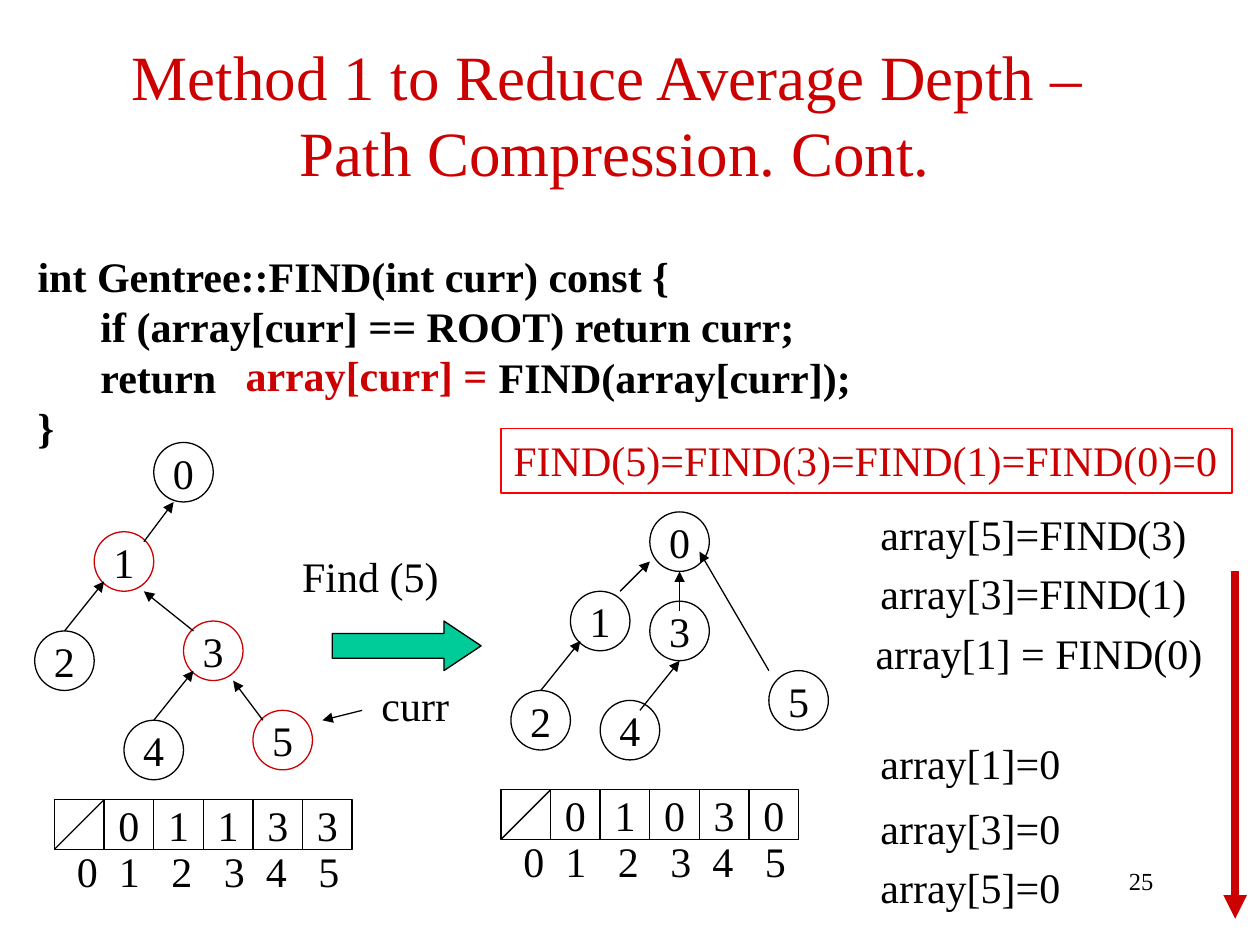
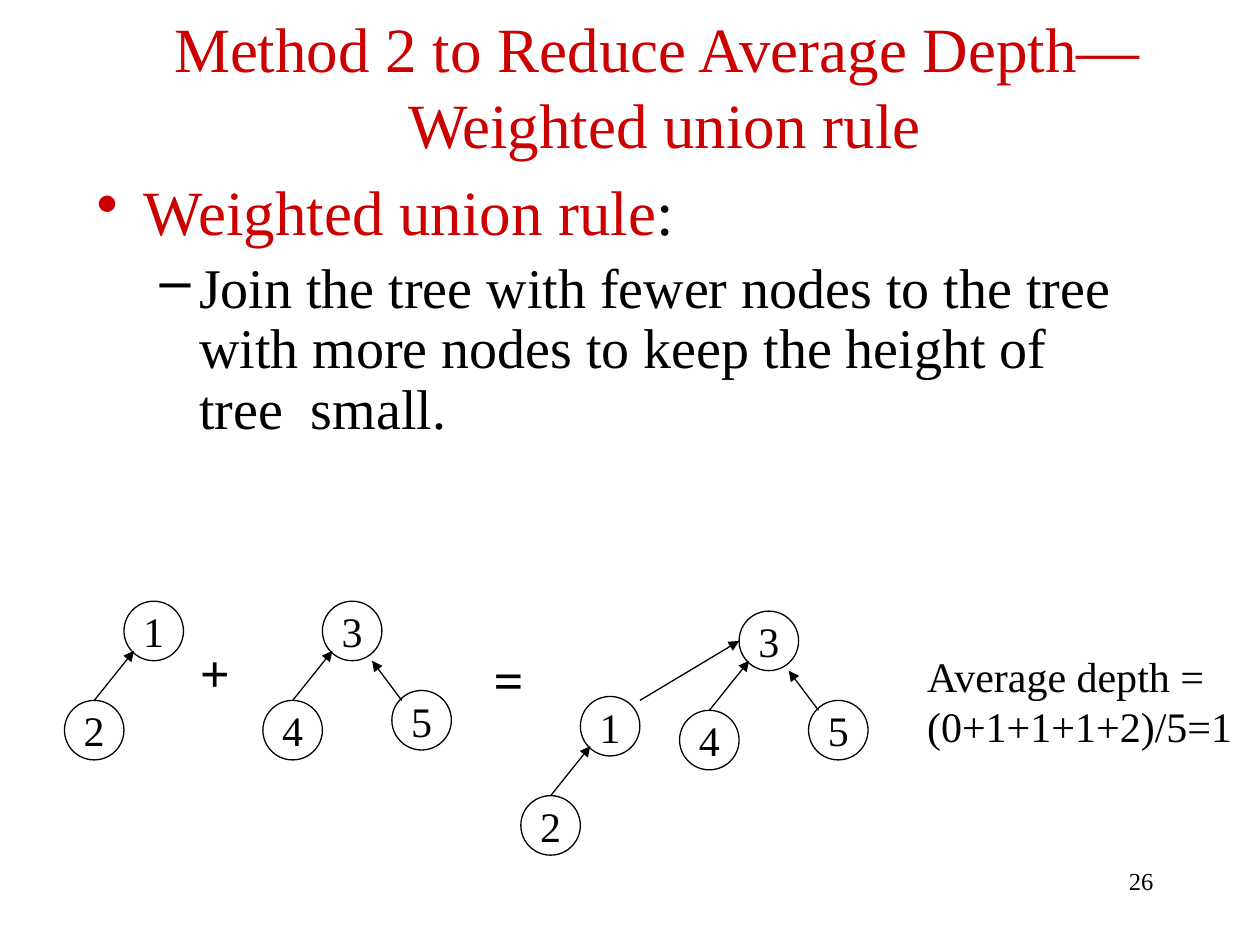
from lxml import etree
from pptx import Presentation
from pptx.dml.color import RGBColor
from pptx.enum.shapes import MSO_CONNECTOR, MSO_SHAPE
from pptx.enum.text import MSO_ANCHOR, PP_ALIGN
from pptx.oxml.ns import qn
from pptx.util import Emu, Pt

OVAL, RECT, BLOCK_ARROW = MSO_SHAPE.OVAL, MSO_SHAPE.RECTANGLE, MSO_SHAPE.RIGHT_ARROW
STRAIGHT = MSO_CONNECTOR.STRAIGHT
LEFT, CENTER, RIGHT = PP_ALIGN.LEFT, PP_ALIGN.CENTER, PP_ALIGN.RIGHT
TOP, MIDDLE = MSO_ANCHOR.TOP, MSO_ANCHOR.MIDDLE

FONT = "Times New Roman"
COLORS = {"ink": "000000", "accent": "CC0000", "frame": "FF0000", "arrow": "00CC99"}

# The slide is 127 columns wide; rows are as high as columns are wide.
prs = Presentation()
prs.slide_width, prs.slide_height = Emu(9144000), Emu(6858000)
UNIT = prs.slide_width // 127
GRID_LEFT, GRID_TOP = 0.5, 0.6
NODE, CELL, LINE_ROWS = 6, 5, 6.35

# Where an edge leaves the child and reaches the parent, from their top left corners.
EDGES = {
    "left": ((3, 0), (1, 5)),
    "right": ((1, 1), (5, 6)),
    "steep": ((5, 1), (2, 6)),
    "inner": ((4, 1), (3, 6)),
    "up": ((3, 1), (3, 6)),
    "corner": ((5, 0), (0, 5)),
    "long": ((0, 0), (5, 4)),
    "joined": ((6, 0.4), (0, 3)),
}


def place(slide, text, col, row, cols, rows, shape=None, outline="ink", size=24,
          color="ink", bold=False, align=LEFT, anchor=TOP, wrap=False):
    """Put text on the grid, in an unfilled preset shape or in a plain text box."""
    box = (Emu(round((col + GRID_LEFT) * UNIT)), Emu(round((row + GRID_TOP) * UNIT)),
           Emu(round(cols * UNIT)), Emu(round(rows * UNIT)))
    if shape is None:
        item = slide.shapes.add_textbox(*box)
    else:
        item = slide.shapes.add_shape(shape, *box)
        item.shadow.inherit = False
        item.fill.background()
        item.line.color.rgb = RGBColor.from_string(COLORS[outline])
        item.line.width = Pt(0.75)
    frame = item.text_frame
    frame.text = text
    frame.word_wrap, frame.vertical_anchor = wrap, anchor
    for paragraph in frame.paragraphs:
        paragraph.alignment = align
        for run in paragraph.runs:
            run.font.name, run.font.size, run.font.bold = FONT, Pt(size), bold
            run.font.color.rgb = RGBColor.from_string(COLORS[color])
    return item


def draw_line(slide, start, end, color="ink", width=0.75, arrow=True):
    points = [Emu(round((value + offset) * UNIT)) for point in (start, end)
              for value, offset in zip(point, (GRID_LEFT, GRID_TOP))]
    line = slide.shapes.add_connector(STRAIGHT, *points)
    line.line.color.rgb = RGBColor.from_string(COLORS[color])
    line.line.width = Pt(width)
    if arrow:
        etree.SubElement(line.line._get_or_add_ln(), qn("a:tailEnd"), type="triangle")
    etree.SubElement(line._element.spPr, qn("a:effectLst"))


# Titles and page numbers
titles = [
    ("Method 1 to Reduce Average Depth – \vPath Compression. Cont.", 2.93, 4.48, 117.1, 12.7),
    ("Method 2 to Reduce Average Depth—\v Weighted union rule", 5, 3.97, 121.5, 8.1),
]
slides = []
for page, title in enumerate(titles, start=25):
    slide = prs.slides.add_slide(prs.slide_layouts[6])
    place(slide, *title, size=36, color="accent", align=CENTER, anchor=MIDDLE, wrap=True)
    place(slide, str(page), 90.6, 86.1, 26.4, LINE_ROWS, size=14, align=RIGHT, wrap=True)
    slides.append(slide)
compression, weighted = slides

# Trees: nodes as label -> (column, row), edges as (child, parent, kind), visited labels
trees = [
    (compression,
     {"0": (15, 44), "1": (9, 53), "2": (3, 63), "3": (18, 62), "4": (12, 72), "5": (25, 71)},
     [("1", "0", "steep"), ("2", "1", "left"), ("3", "1", "right"),
      ("4", "3", "left"), ("5", "3", "right")], "135"),
    (compression,
     {"0": (65, 51), "1": (57, 59), "2": (51, 69), "3": (65, 60), "4": (60, 70), "5": (77, 67)},
     [("1", "0", "corner"), ("2", "1", "left"), ("3", "0", "up"),
      ("4", "3", "inner"), ("5", "0", "long")], ""),
    (weighted, {"1": (12, 60), "2": (6, 70)}, [("2", "1", "left")], ""),
    (weighted, {"3": (32, 60), "4": (26, 70), "5": (39, 69)},
     [("4", "3", "left"), ("5", "3", "right")], ""),
    (weighted,
     {"3": (74, 61), "4": (68, 71), "5": (81, 70), "1": (58, 69.6), "2": (52, 79.6)},
     [("4", "3", "left"), ("5", "3", "right"), ("2", "1", "left"), ("1", "3", "joined")], ""),
]
for slide, nodes, edges, visited in trees:
    for label, (col, row) in nodes.items():
        place(slide, label, col, row, NODE, NODE, OVAL, align=CENTER, anchor=MIDDLE,
              outline="accent" if label in visited else "ink")
    for child, parent, kind in edges:
        start, end = [(nodes[label][0] + dx, nodes[label][1] + dy)
                      for label, (dx, dy) in zip((child, parent), EDGES[kind])]
        draw_line(slide, start, end)

# Path compression: code
code = place(compression, "int Gentree::FIND(int curr) const {\n"
             "      if (array[curr] == ROOT) return curr;\n"
             "      return\tFIND(array[curr]);\n}",
             2.04, 24, 121, 27.2, bold=True, wrap=True)
place(compression, "array[curr] =", 23, 34, 26.9, LINE_ROWS, color="accent", bold=True, wrap=True)
tabbed = [(code.text_frame.paragraphs[2], [263.5])]

# Path compression: parent arrays before and after
for col, row, parents in [(5, 80, "01133"), (50, 79, "01030")]:
    for i, parent in enumerate(["", *parents]):
        place(compression, parent, col + i * CELL, row, CELL, CELL, RECT,
              align=CENTER, anchor=MIDDLE)
    draw_line(compression, (col, row + CELL), (col + CELL, row), arrow=False)
    indices = place(compression, "\t".join("012345"), col + 1, row + 4, 30.1, LINE_ROWS, wrap=True)
    tabbed.append((indices.text_frame.paragraphs[0], [24, 54, 84, 108, 138]))

for paragraph, stops in tabbed:
    tab_list = etree.SubElement(paragraph._p.get_or_add_pPr(), qn("a:tabLst"))
    for stop in stops:
        etree.SubElement(tab_list, qn("a:tab"), pos=str(Pt(stop)), algn="l")

# Path compression: the call and its steps
find_arrow = place(compression, "", 33, 62, 15, CELL, BLOCK_ARROW)
find_arrow.adjustments[0], find_arrow.adjustments[1] = 0.5, 0.75
find_arrow.fill.solid()
find_arrow.fill.fore_color.rgb = RGBColor.from_string(COLORS["arrow"])
draw_line(compression, (36, 71), (32, 72))
draw_line(compression, (124, 57), (124, 92), color="accent", width=4.5)
place(compression, "FIND(5)=FIND(3)=FIND(1)=FIND(0)=0", 50, 42.6, 73.7, 6.5, RECT,
      outline="frame", color="accent")
for step, col, row, cols in [
    ("Find (5)", 28.7, 54.3, 16.3),
    ("curr", 36.7, 67.3, 9.4),
    ("array[5]=FIND(3)", 87, 50, 33.4),
    ("array[3]=FIND(1)", 87, 56, 33.4),
    ("array[1] = FIND(0)", 86.5, 62, 35.8),
    ("array[1]=0", 87, 73.1, 20.7),
    ("array[3]=0", 87, 79.7, 20.7),
    ("array[5]=0", 87, 85.6, 20.7),
]:
    place(compression, step, col, row, cols, LINE_ROWS)

# Weighted union: rule
rule = place(weighted, "Weighted union rule\nJoin the tree with fewer nodes to the tree "
             "with more nodes to keep the height of tree  small.",
             8, 17, 108, 57, size=36, wrap=True)
heading, detail = rule.text_frame.paragraphs
heading.runs[0].font.color.rgb = RGBColor.from_string(COLORS["accent"])
colon = heading.add_run()
colon.text = ":"
colon.font.name, colon.font.size = FONT, Pt(36)
colon.font.color.rgb = RGBColor.from_string(COLORS["ink"])
detail.runs[0].font.size = Pt(32)
detail.space_before = Pt(6.4)
for paragraph, bullet, margin, hang in [(heading, "•", 27, 27), (detail, "–", 58.5, 22.5)]:
    props = paragraph._p.get_or_add_pPr()
    props.set("marL", str(Pt(margin)))
    props.set("indent", str(-Pt(hang)))
    etree.SubElement(props, qn("a:buChar"), char=bullet)
    paragraph.line_spacing = 0.9

# Weighted union: equation and result
for sign, col, row in [("+", 18.4, 63.3), ("=", 48, 64)]:
    place(weighted, sign, col, row, 5.6, 7.6, size=30, bold=True)
place(weighted, "Average depth =\n(0+1+1+1+2)/5=1", 91.7, 64.3, 33.3, 11.4)

prs.save("out.pptx")
